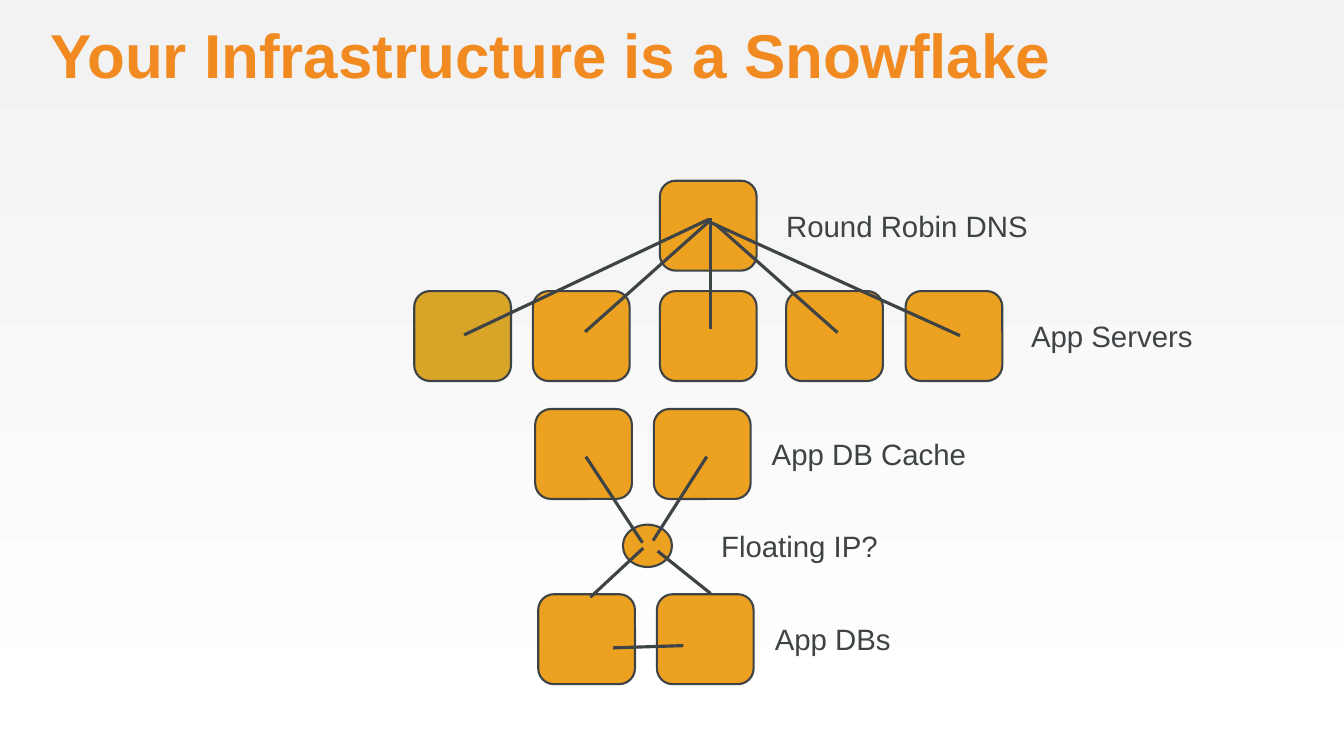
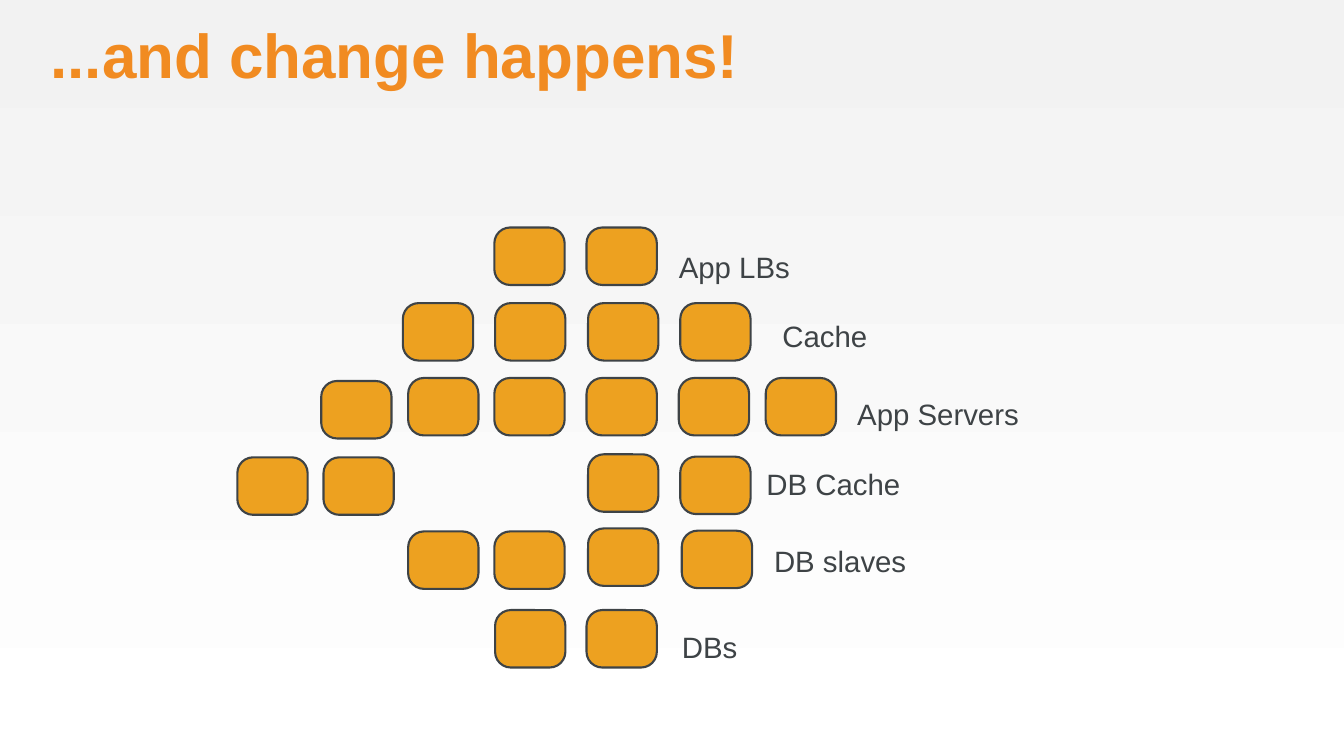
"""Builds two slides that show server tiers growing over time."""
from lxml import etree
from pptx import Presentation
from pptx.dml.color import RGBColor
from pptx.enum.shapes import MSO_CONNECTOR, MSO_SHAPE
from pptx.enum.text import MSO_ANCHOR, MSO_AUTO_SIZE, PP_ALIGN
from pptx.oxml.ns import qn
from pptx.util import Inches, Pt

STRAIGHT = MSO_CONNECTOR.STRAIGHT
ROUNDED, OVAL = MSO_SHAPE.ROUNDED_RECTANGLE, MSO_SHAPE.OVAL
TOP, MIDDLE = MSO_ANCHOR.TOP, MSO_ANCHOR.MIDDLE
LEFT = PP_ALIGN.LEFT
NO_AUTOFIT = MSO_AUTO_SIZE.NONE

FONT = "Arial"
TITLE_COLOR, INK = "F18B21", "3E4346"
SERVER_FILL, ODD_SERVER_FILL = "EDA120", "D8A529"
BACKGROUND = ("F2F2F2", "FFFFFF")
TITLE_BOX = (0.67, 0.33, 16.33, 0.91)
FLOATING_IP = (8.24, 6.94, 0.65, 0.56)

SLIDES = [
    {
        "title": "Your Infrastructure is a Snowflake",
        "server_size": (1.28, 1.19),
        "corner": 0.175,
        "rows": [
            (2.39, [8.73]),
            (3.85, [5.48, 7.05, 8.73, 10.4, 11.98]),
            (5.41, [7.08, 8.65]),
            (7.86, [7.12, 8.69]),
        ],
        "odd_server": (5.48, 3.85),
        "ovals": [FLOATING_IP],
        "labels": [
            ("Round Robin DNS", (10.4, 2.69, 4.14, 0.58)),
            ("App Servers", (13.64, 4.15, 2.94, 0.58)),
            ("App DB Cache", (10.21, 5.71, 4.63, 0.58)),
            ("Floating IP?", (9.54, 6.86, 5.03, 0.72)),
            ("App DBs", (10.25, 8.16, 5.03, 0.58)),
        ],
        "links": [
            (9.38, 2.9, 6.14, 4.43),
            (9.39, 2.92, 7.74, 4.39),
            (9.4, 2.88, 9.4, 4.35),
            (9.47, 2.97, 11.08, 4.4),
            (9.35, 2.92, 12.7, 4.44),
            (7.75, 6.04, 8.5, 7.18),
            (9.35, 6.04, 8.64, 7.15),
            (8.51, 7.25, 7.81, 7.9),
            (8.7, 7.29, 9.4, 7.85),
            (8.11, 8.57, 9.04, 8.54),
        ],
    },
    {
        "title": "...and change happens!",
        "server_size": (0.93, 0.76),
        "corner": 0.274,
        "rows": [
            (3.01, [6.54, 7.76]),
            (4.01, [5.33, 6.55, 7.78, 9]),
            (5, [5.4, 6.54, 7.76, 8.98, 10.13]),
            (5.04, [4.25]),
            (6.05, [3.14, 4.28]),
            (6.01, [7.78]),
            (6.04, [9]),
            (7.03, [5.4, 6.54]),
            (6.99, [7.78]),
            (7.02, [9.02]),
            (8.07, [6.55, 7.76]),
        ],
        "odd_server": None,
        "ovals": [],
        "labels": [
            ("App LBs", (8.98, 3.2, 2.21, 0.67)),
            ("Cache", (10.35, 4.11, 2.44, 0.65)),
            ("App Servers", (11.34, 5.19, 3.32, 0.57)),
            ("DB Cache", (10.14, 6.06, 3.6, 0.67)),
            ("DB slaves", (10.24, 7.03, 3.6, 0.78)),
            ("DBs", (9.02, 8.16, 2.21, 0.78)),
        ],
        "links": [],
    },
]


def color(value):
    return RGBColor.from_string(value)


def inches(values):
    return [Inches(value) for value in values]


def write_text(shape, text, size=28, ink=INK, bold=False, anchor=MIDDLE, spacing=1.0):
    frame = shape.text_frame
    frame.word_wrap = True
    frame.auto_size = NO_AUTOFIT
    frame.vertical_anchor = anchor
    frame.margin_left = frame.margin_right = frame.margin_top = frame.margin_bottom = 0
    paragraph = frame.paragraphs[0]
    paragraph.alignment = LEFT
    paragraph.line_spacing = spacing
    run = paragraph.add_run()
    run.text = text
    run.font.name = FONT
    run.font.size = Pt(size)
    run.font.bold = bold
    run.font.color.rgb = color(ink)


def add_node(slide, kind, box, fill=SERVER_FILL):
    shape = slide.shapes.add_shape(kind, *inches(box))
    shape.shadow.inherit = False
    shape.fill.solid()
    shape.fill.fore_color.rgb = color(fill)
    shape.line.color.rgb = color(INK)
    shape.line.width = Pt(2)
    return shape


def add_link(slide, ends):
    connector = slide.shapes.add_connector(STRAIGHT, *inches(ends))
    connector.line.color.rgb = color(INK)
    connector.line.width = Pt(3)
    etree.SubElement(connector._element.spPr, qn("a:effectLst"))


def set_background(master):
    fill = master.background.fill
    fill.gradient()
    fill.gradient_angle = 270
    for stop, value, position in zip(fill.gradient_stops, BACKGROUND, (0, 1)):
        stop.color.rgb = color(value)
        stop.position = position


def add_title(slide, text):
    title = slide.shapes.title
    title.left, title.top, title.width, title.height = inches(TITLE_BOX)
    write_text(title, text, size=59, ink=TITLE_COLOR, bold=True, anchor=TOP, spacing=0.9)


def build_slide(presentation, content):
    slide = presentation.slides.add_slide(presentation.slide_layouts[5])
    add_title(slide, content["title"])
    for top, lefts in content["rows"]:
        for left in lefts:
            odd = (left, top) == content["odd_server"]
            server = add_node(slide, ROUNDED, (left, top, *content["server_size"]),
                              ODD_SERVER_FILL if odd else SERVER_FILL)
            server.adjustments[0] = content["corner"]
    for box in content["ovals"]:
        add_node(slide, OVAL, box)
    for ends in content["links"]:
        add_link(slide, ends)
    for text, box in content["labels"]:
        write_text(slide.shapes.add_textbox(*inches(box)), text)


def main():
    presentation = Presentation()
    presentation.slide_width, presentation.slide_height = inches((17.78, 10))
    set_background(presentation.slide_master)
    for content in SLIDES:
        build_slide(presentation, content)
    presentation.save("out.pptx")


if __name__ == "__main__":
    main()
